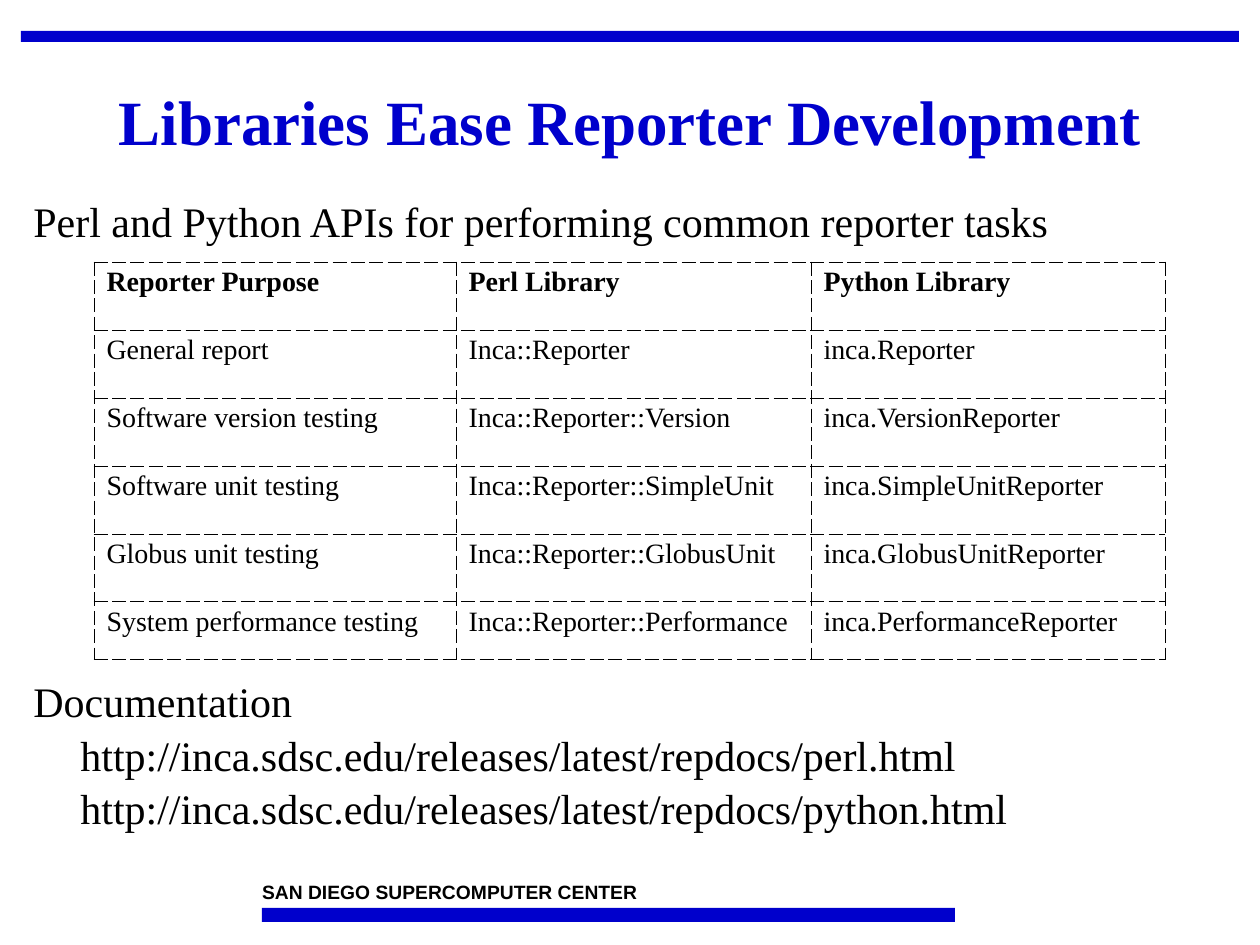
from pptx import Presentation
from pptx.dml.color import RGBColor
from pptx.enum.shapes import MSO_SHAPE
from pptx.enum.text import MSO_ANCHOR, MSO_AUTO_SIZE, PP_ALIGN
from pptx.oxml import parse_xml
from pptx.oxml.ns import nsdecls
from pptx.util import Pt

SCALE = 914400 / 126
BLUE = "0000CC"
BLACK = "000000"
SERIF = "Times New Roman"


def px(*lengths):
    return [round(length * SCALE) for length in lengths]


def add_text(paragraph, text, size, font=SERIF, color=BLACK, bold=False):
    run = paragraph.add_run()
    run.text = text
    run.font.size = Pt(size)
    run.font.name = font
    run.font.bold = bold
    run.font.color.rgb = RGBColor.from_string(color)


presentation = Presentation()
presentation.slide_width, presentation.slide_height = px(1260, 945)
slide = presentation.slides.add_slide(presentation.slide_layouts[5])

for bar in [(21, 31, 1218, 11), (262, 908, 693, 14)]:
    shape = slide.shapes.add_shape(MSO_SHAPE.RECTANGLE, *px(*bar))
    shape.shadow.inherit = False
    shape.fill.solid()
    shape.fill.fore_color.rgb = RGBColor.from_string(BLUE)
    shape.line.fill.background()

footer = slide.shapes.add_textbox(*px(262, 880, 472, 23)).text_frame
footer.word_wrap = True
footer.margin_left = footer.margin_top = footer.margin_right = footer.margin_bottom = 0
add_text(footer.paragraphs[0], "SAN DIEGO SUPERCOMPUTER CENTER", 11, "Arial", bold=True)

title = slide.shapes.title
title.left, title.top, title.width, title.height = px(21, 53, 1218, 144)
title.text_frame.auto_size = MSO_AUTO_SIZE.NONE
title.text_frame.vertical_anchor = MSO_ANCHOR.MIDDLE
paragraph = title.text_frame.paragraphs[0]
paragraph.alignment = PP_ALIGN.CENTER
paragraph.line_spacing = 0.9
add_text(paragraph, "Libraries Ease Reporter Development", 36, color=BLUE, bold=True)

body = slide.shapes.add_textbox(*px(21, 197, 1218, 654)).text_frame
body.word_wrap = True
body_lines = [
    ("Perl and Python APIs for performing common reporter tasks", 0, 0),
    ("Documentation", 250, 0),
    ("http://inca.sdsc.edu/releases/latest/repdocs/perl.html", 6, 47),
    ("http://inca.sdsc.edu/releases/latest/repdocs/python.html", 6, 47),
]
for index, (text, space_before, indent) in enumerate(body_lines):
    paragraph = body.add_paragraph() if index else body.paragraphs[0]
    paragraph.line_spacing = 0.85
    paragraph.space_before = Pt(space_before)
    paragraph._p.get_or_add_pPr().set("marL", str(px(indent)[0]))
    add_text(paragraph, text, 24)

libraries = [
    ("Reporter Purpose", "Perl Library", "Python Library"),
    ("General report", "Inca::Reporter", "inca.Reporter"),
    ("Software version testing", "Inca::Reporter::Version", "inca.VersionReporter"),
    ("Software unit testing", "Inca::Reporter::SimpleUnit", "inca.SimpleUnitReporter"),
    ("Globus unit testing", "Inca::Reporter::GlobusUnit", "inca.GlobusUnitReporter"),
    ("System performance testing", "Inca::Reporter::Performance", "inca.PerformanceReporter"),
]
table = slide.shapes.add_table(6, 3, *px(94, 262, 1071, 399)).table
table.first_row = False
table.horz_banding = False
for column, width in zip(table.columns, px(362, 355, 354)):
    column.width = width
for row, height in zip(table.rows, px(68, 68, 68, 68, 68, 58)):
    row.height = height

for row_index, row_texts in enumerate(libraries):
    for column_index, text in enumerate(row_texts):
        cell = table.cell(row_index, column_index)
        paragraph = cell.text_frame.paragraphs[0]
        paragraph.line_spacing = 0.95
        add_text(paragraph, text, 16, bold=row_index == 0)
        properties = cell._tc.get_or_add_tcPr()
        for side in "LRTB":
            properties.append(parse_xml(
                f'<a:ln{side} {nsdecls("a")} w="{Pt(0.45)}"><a:solidFill>'
                f'<a:srgbClr val="{BLACK}"/></a:solidFill>'
                f'<a:prstDash val="dash"/></a:ln{side}>'))
        cell.fill.background()

presentation.save("out.pptx")
